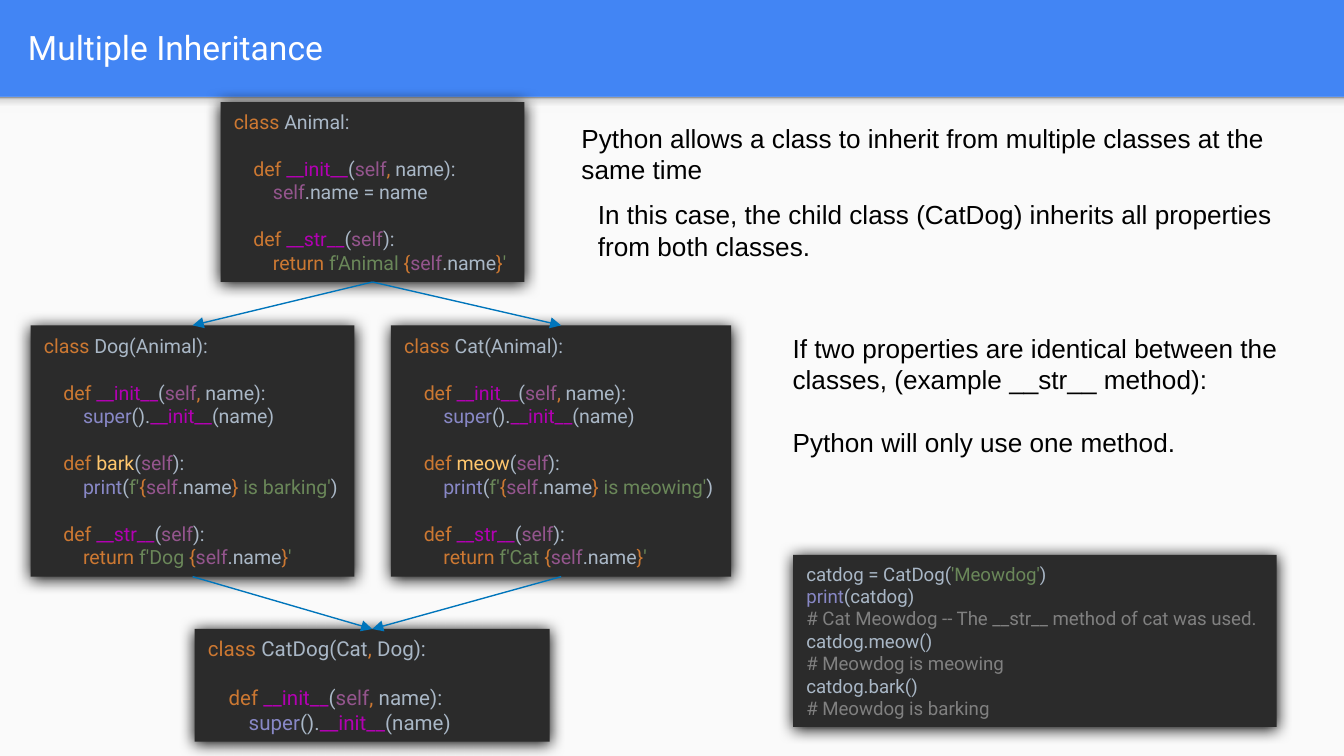
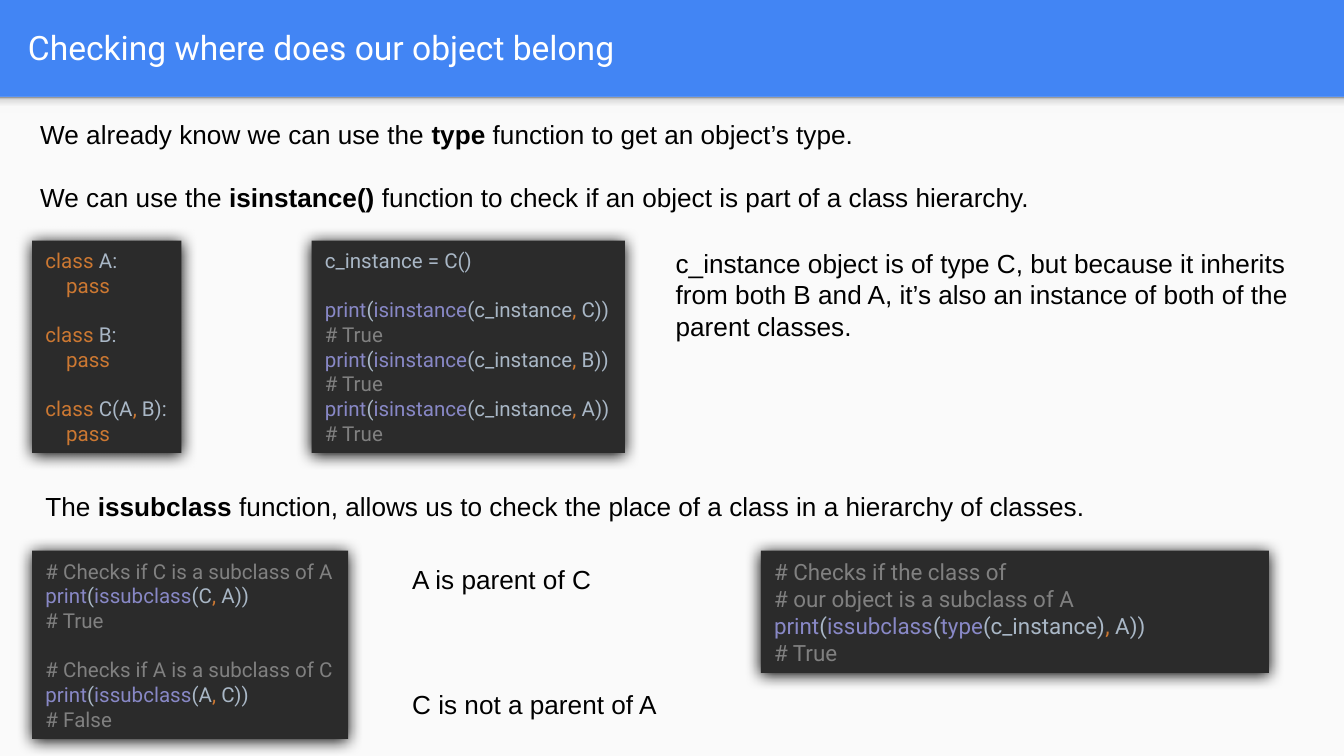
"""Build two slides on Python class inheritance."""
from itertools import groupby

from lxml.etree import SubElement
from pptx import Presentation
from pptx.dml.color import RGBColor
from pptx.enum.shapes import MSO_CONNECTOR, MSO_SHAPE
from pptx.enum.text import MSO_ANCHOR, PP_ALIGN
from pptx.oxml import parse_xml
from pptx.oxml.ns import nsdecls, qn
from pptx.util import Cm, Pt

BLUE = RGBColor(0x42, 0x85, 0xF4)
PAPER = RGBColor(0xFA, 0xFA, 0xFA)
WHITE = RGBColor(0xFF, 0xFF, 0xFF)
BLACK = RGBColor(0x00, 0x00, 0x00)
ARROW = RGBColor(0x00, 0x75, 0xBB)
EDITOR = RGBColor(0x2B, 0x2B, 0x2B)
PLAIN = RGBColor(0xA9, 0xB7, 0xC6)
KEYWORD = RGBColor(0xCC, 0x78, 0x32)
MAGIC = RGBColor(0xB2, 0x00, 0xB2)
SELF = RGBColor(0x94, 0x55, 0x8D)
BUILTIN = RGBColor(0x88, 0x88, 0xC6)
METHOD = RGBColor(0xFF, 0xC6, 0x6D)
STRING = RGBColor(0x6A, 0x87, 0x59)
COMMENT = RGBColor(0x80, 0x80, 0x80)

WORD_COLOURS = {
    **dict.fromkeys(("class", "def", "return", "pass", ","), KEYWORD),
    **dict.fromkeys(("__init__", "__str__"), MAGIC),
    **dict.fromkeys(("print", "super", "isinstance", "issubclass", "type"), BUILTIN),
    "self": SELF,
    "f": STRING,
}
BAND_STOPS = ((0, "F9F9F9"), (36, "F9F9F9"), (80, "DEDEDE"), (100, "999999"))
SLIDE_WIDTH, SLIDE_HEIGHT, BAND_HEIGHT = 25.4, 14.29, 1.83
LINE_SPACING = 1.2
INDENT_PER_POINT = 0.035

ANIMAL = """class Animal:

    def __init__(self, name):
        self.name = name

    def __str__(self):
        return f'Animal {self.name}'"""

CATDOG = """class CatDog(Cat, Dog):

    def __init__(self, name):
        super().__init__(name)"""

CATDOG_USE = """catdog = CatDog('Meowdog')
print(catdog)
# Cat Meowdog -- The __str__ method of cat was used.
catdog.meow()
# Meowdog is meowing
catdog.bark()
# Meowdog is barking"""

CLASSES = """class A:
    pass

class B:
    pass

class C(A, B):
    pass"""

SUBCLASS_CHECKS = """# Checks if C is a subclass of A
print(issubclass(C, A))
# True

# Checks if A is a subclass of C
print(issubclass(A, C))
# False"""

TYPE_CHECK = """# Checks if the class of
# our object is a subclass of A
print(issubclass(type(c_instance), A))
# True"""


def pet_code(name, method):
    """Return the source of a child class of Animal."""
    return f"""class {name}(Animal):

    def __init__(self, name):
        super().__init__(name)

    def {method}(self):
        print(f'{{self.name}} is {method}ing')

    def __str__(self):
        return f'{name} {{self.name}}'"""


def instance_code():
    """Return the source that tests an instance against each class."""
    checks = [f"print(isinstance(c_instance, {name}))\n# True" for name in "CBA"]
    return "\n".join(["c_instance = C()\n", *checks])


def colour_pieces(line):
    """Yield each word or mark of a code line with its colour."""
    if line.startswith("#"):
        yield line, COMMENT
        return
    quoted, colour = False, PLAIN
    for _, group in groupby(line, lambda c: c.isalnum() or c == "_" or ord(c)):
        piece = "".join(group)
        if piece == "'":
            quoted, colour = not quoted, STRING
        elif piece in ("{", "}"):
            quoted, colour = piece == "}", KEYWORD
        elif quoted:
            colour = STRING
        elif piece in WORD_COLOURS:
            colour = WORD_COLOURS[piece]
        elif line.startswith(f"def {piece}"):
            colour = METHOD
        elif piece != " ":
            colour = PLAIN
        yield piece, colour


def add_lines(frame, text, font, size):
    """Yield each filled line with a styled paragraph, turning blank lines into gaps."""
    blanks, para = 0, None
    for line in text.split("\n"):
        if not line:
            blanks += 1
            continue
        para = frame.paragraphs[0] if para is None else frame.add_paragraph()
        para.alignment = PP_ALIGN.LEFT
        para.font.name, para.font.size = font, Pt(size)
        if blanks:
            para.space_before = Pt(round(blanks * size * LINE_SPACING, 1))
        blanks = 0
        yield para, line


def add_rectangle(page, place, colour):
    """Draw a plain filled rectangle without a line."""
    box = page.shapes.add_shape(MSO_SHAPE.RECTANGLE, *map(Cm, place))
    box.shadow.inherit = False
    box.fill.solid()
    box.fill.fore_color.rgb = colour
    box.line.fill.background()
    return box


def add_code(page, place, source, size, wrap=False):
    """Draw a dark code panel with highlighted source."""
    box = add_rectangle(page, place, EDITOR)
    effects = box._element.spPr.find(qn("a:effectLst"))
    shadow = SubElement(effects, qn("a:outerShdw"), blurRad=str(Pt(8.5)),
                        dist=str(Pt(1)), dir="5400000", algn="t", rotWithShape="0")
    SubElement(shadow, qn("a:srgbClr"), val=str(BLACK))
    frame = box.text_frame
    frame.word_wrap = wrap
    frame.vertical_anchor = MSO_ANCHOR.MIDDLE
    for para, line in add_lines(frame, source, "Roboto", size):
        code = line.lstrip()
        level = (len(line) - len(code)) // 4
        if level:
            margin = Cm(round(level * size * INDENT_PER_POINT, 2))
            para._p.get_or_add_pPr().set("marL", str(margin))
        for colour, group in groupby(colour_pieces(code), lambda item: item[1]):
            span = para.add_run()
            span.text = "".join(piece for piece, _ in group)
            span.font.color.rgb = colour
    return box


def add_text(page, place, text, font="Arial", size=14, colour=BLACK):
    """Draw wrapped text in which asterisks enclose bold words."""
    box = page.shapes.add_textbox(*map(Cm, place))
    box.text_frame.word_wrap = True
    for para, line in add_lines(box.text_frame, text, font, size):
        para.font.color.rgb = colour
        for index, words in enumerate(line.split("*")):
            span = para.add_run()
            span.text = words
            if index % 2:
                span.font.bold = True
    return box


def add_arrow(page, parent, child):
    """Connect the bottom of one box to the top of another."""
    arrow = page.shapes.add_connector(MSO_CONNECTOR.STRAIGHT, 0, 0, 0, 0)
    arrow.begin_connect(parent, 2)
    arrow.end_connect(child, 0)
    arrow.line.color.rgb = ARROW
    arrow.line.width = Pt(0.75)
    SubElement(arrow.line._get_or_add_ln(), qn("a:tailEnd"), type="triangle")
    SubElement(arrow._element.spPr, qn("a:effectLst"))


def add_page(deck, title):
    """Add a slide with the blue title band and its soft lower edge."""
    page = deck.slides.add_slide(deck.slide_layouts[6])
    page.background.fill.solid()
    page.background.fill.fore_color.rgb = BLUE
    add_rectangle(page, (0, BAND_HEIGHT, SLIDE_WIDTH, SLIDE_HEIGHT - BAND_HEIGHT), PAPER)
    edge = add_rectangle(page, (0, BAND_HEIGHT, SLIDE_WIDTH, 0.3), PAPER)
    stops = "".join(f'<a:gs pos="{position * 1000}"><a:srgbClr val="{colour}"/></a:gs>'
                    for position, colour in BAND_STOPS)
    gradient = parse_xml(f'<a:gradFill {nsdecls("a")}><a:gsLst>{stops}</a:gsLst>'
                         '<a:lin ang="16200000" scaled="0"/></a:gradFill>')
    properties = edge._element.spPr
    properties.replace(properties.find(qn("a:solidFill")), gradient)
    frame = add_text(page, (0.28, 0.05, 24.51, 1.68), title, "Roboto", 18, WHITE).text_frame
    frame.vertical_anchor = MSO_ANCHOR.MIDDLE
    frame.margin_top = frame.margin_bottom = Cm(0.25)
    return page


def build_inheritance(deck):
    """Build the slide on multiple inheritance."""
    page = add_page(deck, "Multiple Inheritance")
    add_text(page, (10.74, 2.18, 14.66, 1.45),
             "Python allows a class to inherit from multiple classes at the same time")
    animal = add_code(page, (4.17, 1.93, 5.74, 3.4), ANIMAL, 10.5)
    dog = add_code(page, (0.58, 6.15, 6.12, 4.75), pet_code("Dog", "bark"), 10.5)
    cat = add_code(page, (7.39, 6.15, 6.43, 4.75), pet_code("Cat", "meow"), 10.5)
    catdog = add_code(page, (3.68, 11.89, 6.71, 2.13), CATDOG, 11, wrap=True)
    for pet in (cat, dog):
        add_arrow(page, animal, pet)
        add_arrow(page, pet, catdog)
    add_text(page, (11.05, 3.63, 13.74, 1.45),
             "In this case, the child class (CatDog) inherits all properties "
             "from both classes.")
    add_text(page, (14.73, 6.15, 9.75, 2.64),
             "If two properties are identical between the classes, "
             "(example __str__ method):\n\nPython will only use one method.")
    add_code(page, (14.99, 10.49, 9.14, 3.25), CATDOG_USE, 10)


def build_type_checks(deck):
    """Build the slide on isinstance and issubclass."""
    page = add_page(deck, "Checking where does our object belong")
    add_text(page, (0.51, 2.11, 24, 2.06),
             "We already know we can use the *type *function to get an object’s type.\n\n"
             "We can use the *isinstance() *function to check if an object is part "
             "of a class hierarchy.")
    add_code(page, (0.61, 4.55, 2.82, 4.01), CLASSES, 11)
    add_code(page, (5.89, 4.55, 5.92, 4.01), instance_code(), 11)
    add_text(page, (12.52, 4.55, 12.27, 2.06),
             "c_instance object is of type C, but because it inherits from both B and A, "
             "it’s also an instance of both of the parent classes.")
    add_code(page, (0.61, 10.41, 5.97, 3.56), SUBCLASS_CHECKS, 11)
    add_text(page, (0.61, 9.14, 24.79, 0.86),
             "The *issubclass *function, allows us to check the place of a class "
             "in a hierarchy of classes.")
    add_text(page, (7.54, 10.52, 5.49, 3.25), "A is parent of C\n\n\n\nC is not a parent of A")
    add_code(page, (14.38, 10.41, 9.6, 2.31), TYPE_CHECK, 12, wrap=True)


def main():
    """Build and save the deck."""
    deck = Presentation()
    deck.slide_width, deck.slide_height = Cm(SLIDE_WIDTH), Cm(SLIDE_HEIGHT)
    build_inheritance(deck)
    build_type_checks(deck)
    deck.save("out.pptx")


main()
